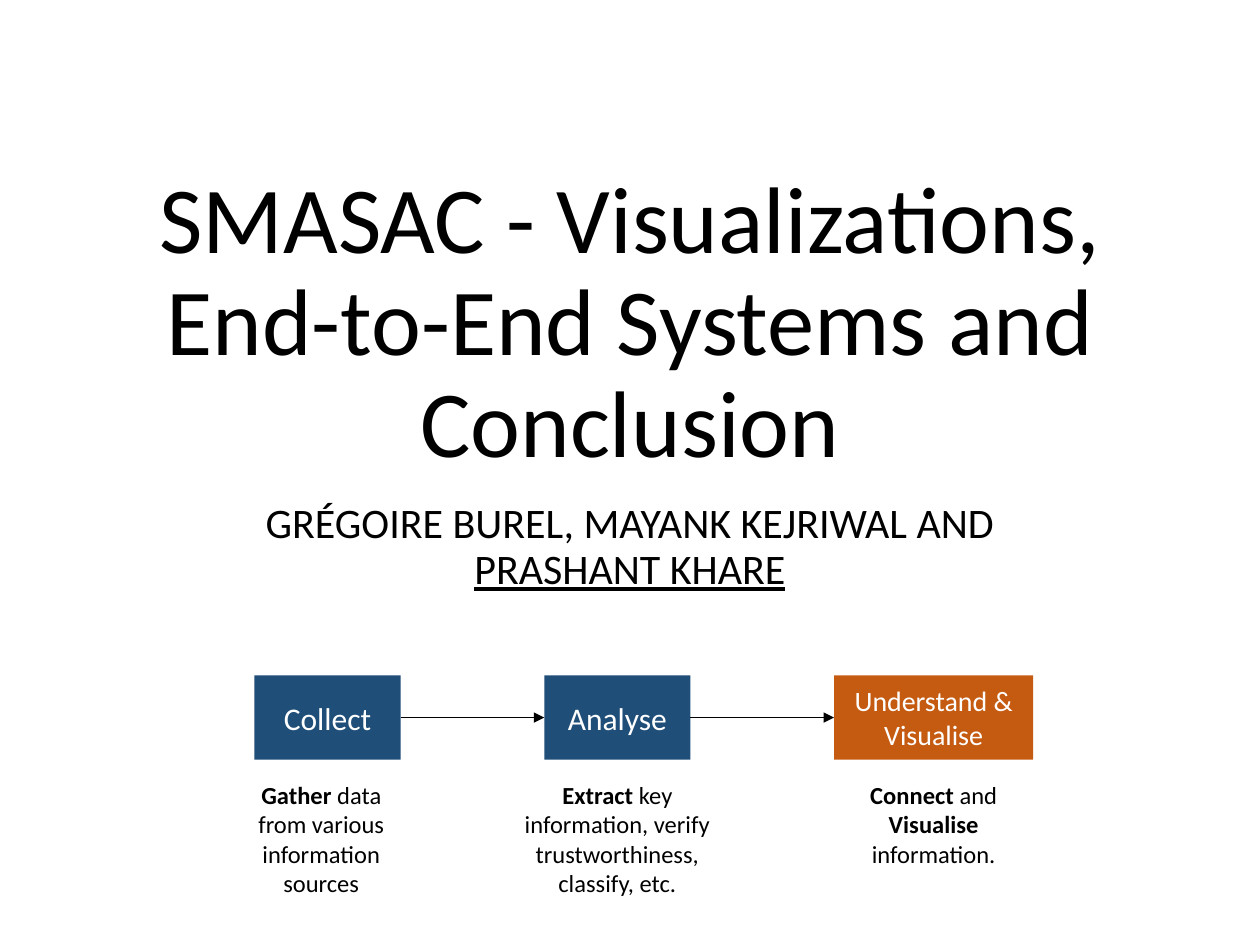
from dataclasses import dataclass

from lxml import etree
from pptx import Presentation
from pptx.dml.color import RGBColor
from pptx.enum.shapes import MSO_CONNECTOR, MSO_SHAPE
from pptx.enum.text import MSO_ANCHOR, PP_ALIGN
from pptx.oxml.ns import qn
from pptx.util import Inches, Pt

CENTER = PP_ALIGN.CENTER
TOP = MSO_ANCHOR.TOP
MIDDLE = MSO_ANCHOR.MIDDLE
BOTTOM = MSO_ANCHOR.BOTTOM
RECTANGLE = MSO_SHAPE.RECTANGLE
STRAIGHT = MSO_CONNECTOR.STRAIGHT
LEFT_SIDE, RIGHT_SIDE = 1, 3


@dataclass(frozen=True)
class Theme:
    font: str = "Calibri"
    text: RGBColor = RGBColor(0x00, 0x00, 0x00)
    light_text: RGBColor = RGBColor(0xFF, 0xFF, 0xFF)
    step: RGBColor = RGBColor(0x1F, 0x4E, 0x79)
    current_step: RGBColor = RGBColor(0xC5, 0x5A, 0x11)
    title_size: int = 54
    authors_size: int = 24
    step_size: int = 18
    current_step_size: int = 16
    caption_size: int = 14


THEME = Theme()
STEP_TOP, STEP_HEIGHT = 5.36, 0.67
FIRST_STEP_LEFT, STEP_PITCH = 2.02, 2.3
CAPTION_TOP, CAPTION_HEIGHT = 6.14, 1.21

STEPS = [
    ("Collect", 1.16, THEME.step, THEME.step_size),
    ("Analyse", 1.16, THEME.step, THEME.step_size),
    ("Understand & Visualise", 1.58, THEME.current_step, THEME.current_step_size),
]
CAPTIONS = [
    (1.92, 1.26, [("Gather", True), (" data from various information sources", False)]),
    (4.03, 1.74, [("Extract", True),
                  (" key information, verify trustworthiness, classify, etc.", False)]),
    (6.67, 1.48, [("Connect ", True), ("and", False),
                  (" Visualise", True), (" information.", False)]),
]


def format_run(run, size, color):
    run.font.name = THEME.font
    run.font.size = Pt(size)
    run.font.color.rgb = color


def add_text(slide, left, top, width, height, texts, size, anchor=TOP, line_spacing=1.0):
    box = slide.shapes.add_textbox(Inches(left), Inches(top), Inches(width), Inches(height))
    text_frame = box.text_frame
    text_frame.word_wrap = True
    text_frame.vertical_anchor = anchor
    paragraph = text_frame.paragraphs[0]
    paragraph.alignment = CENTER
    paragraph.line_spacing = line_spacing
    for text in texts:
        run = paragraph.add_run()
        run.text = text
        format_run(run, size, THEME.text)
    return paragraph.runs


def add_step(slide, left, label, width, fill, size):
    shape = slide.shapes.add_shape(
        RECTANGLE, Inches(left), Inches(STEP_TOP), Inches(width), Inches(STEP_HEIGHT))
    shape.shadow.inherit = False
    shape.fill.solid()
    shape.fill.fore_color.rgb = fill
    shape.line.fill.background()
    text_frame = shape.text_frame
    text_frame.word_wrap = True
    text_frame.vertical_anchor = MIDDLE
    text_frame.text = label
    paragraph = text_frame.paragraphs[0]
    paragraph.alignment = CENTER
    format_run(paragraph.runs[0], size, THEME.light_text)
    return shape


def add_arrow(slide, source, target):
    connector = slide.shapes.add_connector(STRAIGHT, 0, 0, 0, 0)
    connector.begin_connect(source, RIGHT_SIDE)
    connector.end_connect(target, LEFT_SIDE)
    connector.line.color.rgb = THEME.text
    connector.line.width = Pt(1)
    etree.SubElement(connector.line._get_or_add_ln(), qn("a:tailEnd"), type="triangle")
    etree.SubElement(connector._element.spPr, qn("a:effectLst"))


def add_caption(slide, left, width, parts):
    runs = add_text(slide, left, CAPTION_TOP, width, CAPTION_HEIGHT,
                    [text for text, bold in parts], THEME.caption_size)
    for run, (text, bold) in zip(runs, parts):
        run.font.bold = bold


def main():
    presentation = Presentation()
    presentation.slide_width = Inches(10)
    presentation.slide_height = Inches(7.5)
    slide = presentation.slides.add_slide(presentation.slide_layouts[6])

    add_text(slide, 0.75, 1.23, 8.5, 2.61,
             ["SMASAC - Visualizations, End-to-End Systems and Conclusion"],
             THEME.title_size, BOTTOM, 0.9)
    steps = [add_step(slide, FIRST_STEP_LEFT + index * STEP_PITCH, *step)
             for index, step in enumerate(STEPS)]
    for source, target in zip(steps, steps[1:]):
        add_arrow(slide, source, target)
    for caption in CAPTIONS:
        add_caption(slide, *caption)
    authors = add_text(slide, 1.25, 3.94, 7.5, 1.81,
                       ["GRÉGOIRE BUREL, MAYANK KEJRIWAL AND ", "PRASHANT KHARE"],
                       THEME.authors_size, line_spacing=0.9)
    authors[-1].font.underline = True

    presentation.save("out.pptx")


if __name__ == "__main__":
    main()
